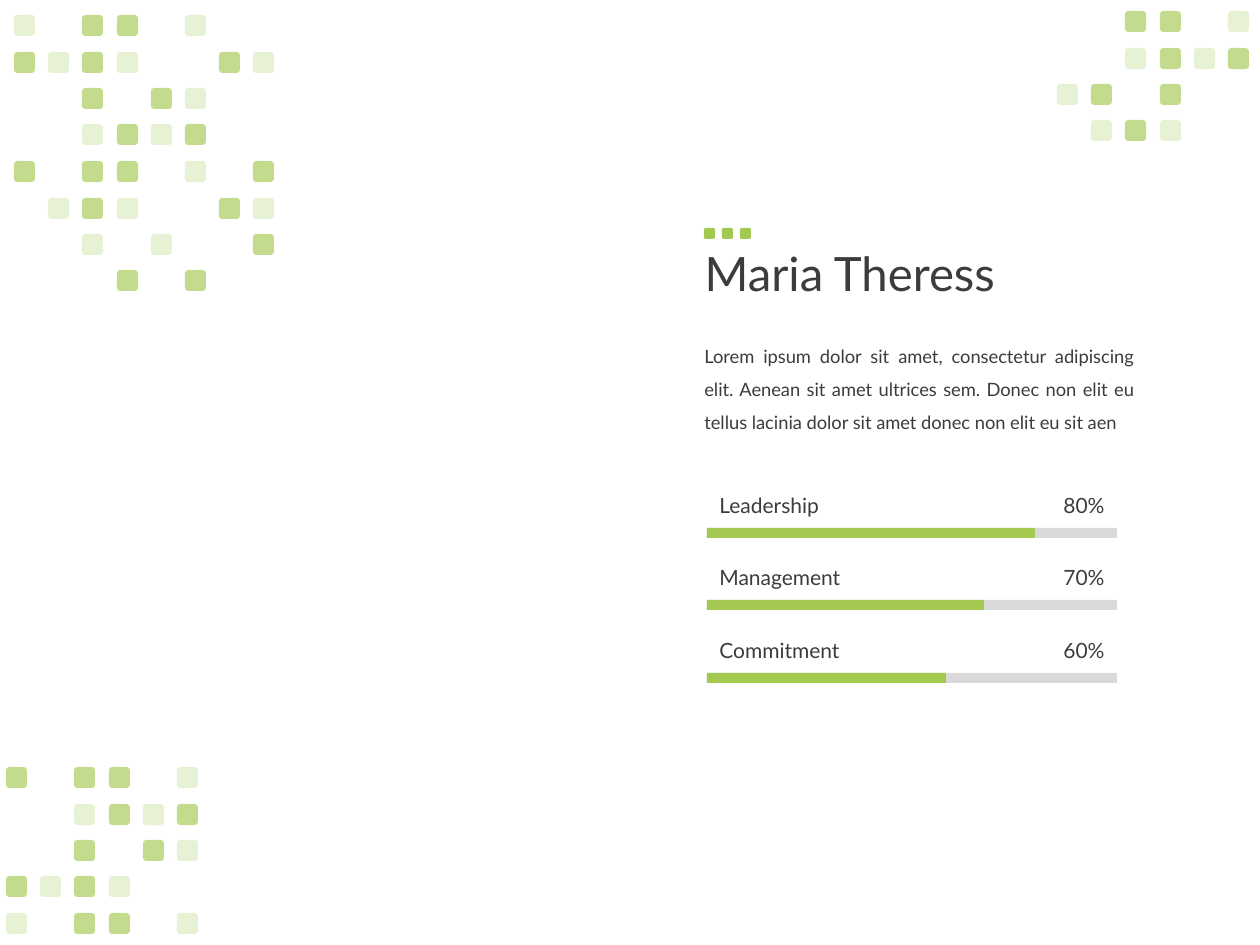
from pptx import Presentation
from pptx.dml.color import RGBColor
from pptx.enum.shapes import MSO_SHAPE
from pptx.enum.text import MSO_ANCHOR, MSO_AUTO_SIZE, PP_ALIGN
from pptx.oxml.ns import qn
from pptx.util import Pt
from lxml import etree

RECT, ROUNDED = MSO_SHAPE.RECTANGLE, MSO_SHAPE.ROUNDED_RECTANGLE
TOP, MIDDLE = MSO_ANCHOR.TOP, MSO_ANCHOR.MIDDLE
LEFT, RIGHT, JUSTIFY = PP_ALIGN.LEFT, PP_ALIGN.RIGHT, PP_ALIGN.JUSTIFY
FIXED, GROW = MSO_AUTO_SIZE.NONE, MSO_AUTO_SIZE.SHAPE_TO_FIT_TEXT

GREEN = RGBColor(0xA3, 0xC9, 0x51)
GREY = RGBColor(0xD9, 0xD9, 0xD9)
INK = RGBColor(0x3C, 0x3C, 0x3C)
FONT = "Lato"

COLUMN_STEP, ROW_STEP, TILE = 34.2, 36.5, 21
OPACITY = {"D": 65, "l": 25}
MOSAICS = [
    (14, 15, ["l.DD.l..", "DlDl..Dl", "..D.Dl..", "..lDlD..",
              "D.DD.l.D", ".lDl..Dl", "..l.l..D", "...D.D.."]),
    (6, 767, ["D.DD.l", "..lDlD", "..D.Dl", "DlDl..", "l.DD.l"]),
    (1057, 11, ["..DD.l", "..lDlD", "lD.D..", ".lDl.."]),
]
SKILLS = [
    ("Leadership", "80%", 328),
    ("Management", "70%", 277),
    ("Commitment", "60%", 239),
]
BODY = (
    "Lorem ipsum dolor sit amet, consectetur adipiscing elit. Aenean sit amet "
    "ultrices sem. Donec non elit eu tellus lacinia dolor sit amet donec non "
    "elit eu sit aen"
)


def px(n):
    return round(n * 914400 / 126)


def add_block(shapes, kind, x, y, w, h, color, opacity=100):
    sp = shapes.add_shape(kind, px(x), px(y), px(w), px(h))
    sp.shadow.inherit = False
    sp.fill.solid()
    sp.fill.fore_color.rgb = color
    sp.line.fill.background()
    if opacity < 100:
        clr = sp.fill._xPr.find(qn("a:solidFill"))[0]
        etree.SubElement(clr, qn("a:alpha")).set("val", str(opacity * 1000))


def add_mosaic(s, left, top, rows):
    shapes = s.shapes.add_group_shape().shapes
    for i, row in enumerate(rows):
        for j, mark in enumerate(row):
            if mark in OPACITY:
                add_block(shapes, ROUNDED, round(left + j * COLUMN_STEP),
                          round(top + i * ROW_STEP), TILE, TILE, GREEN,
                          OPACITY[mark])


def write(sp, text, size, align=LEFT, spacing=1.0, anchor=MIDDLE, fit=GROW):
    tf = sp.text_frame
    tf.word_wrap = True
    tf.auto_size = fit
    tf.vertical_anchor = anchor
    tf.text = text
    p = tf.paragraphs[0]
    p.alignment = align
    p.line_spacing = spacing
    font = p.runs[0].font
    font.name, font.size, font.color.rgb = FONT, Pt(size), INK


def add_text(s, x, y, w, h, text, size, **style):
    sp = s.shapes.add_textbox(px(x), px(y), px(w), px(h))
    write(sp, text, size, **style)


def set_title(s, text):
    sp = s.shapes.title
    sp.left, sp.top, sp.width, sp.height = px(692), px(185), px(1086), px(183)
    write(sp, text, 27, spacing=0.9, fit=FIXED)


def add_skill(s, y, name, share, filled):
    add_block(s.shapes, RECT, 707, y, 410, 10, GREY)
    add_block(s.shapes, RECT, 707, y, filled, 10, GREEN)
    add_text(s, 707, y - 42, 195, 38, name, 12)
    add_text(s, 1017, y - 42, 100, 38, share, 12, align=RIGHT)


def add_title_dots(s):
    shapes = s.shapes.add_group_shape().shapes
    for i in range(3):
        add_block(shapes, ROUNDED, 704 + 18 * i, 228, 11, 11, GREEN)


def main():
    prs = Presentation()
    prs.slide_width, prs.slide_height = px(1260), px(945)
    s = prs.slides.add_slide(prs.slide_layouts[5])
    for mosaic in MOSAICS:
        add_mosaic(s, *mosaic)
    set_title(s, "Maria Theress")
    add_title_dots(s)
    add_text(s, 692, 328, 455, 108, BODY, 10.5,
             align=JUSTIFY, spacing=1.5, anchor=TOP)
    for i, skill in enumerate(SKILLS):
        add_skill(s, round(528 + 72.5 * i), *skill)
    prs.save("out.pptx")


if __name__ == "__main__":
    main()
